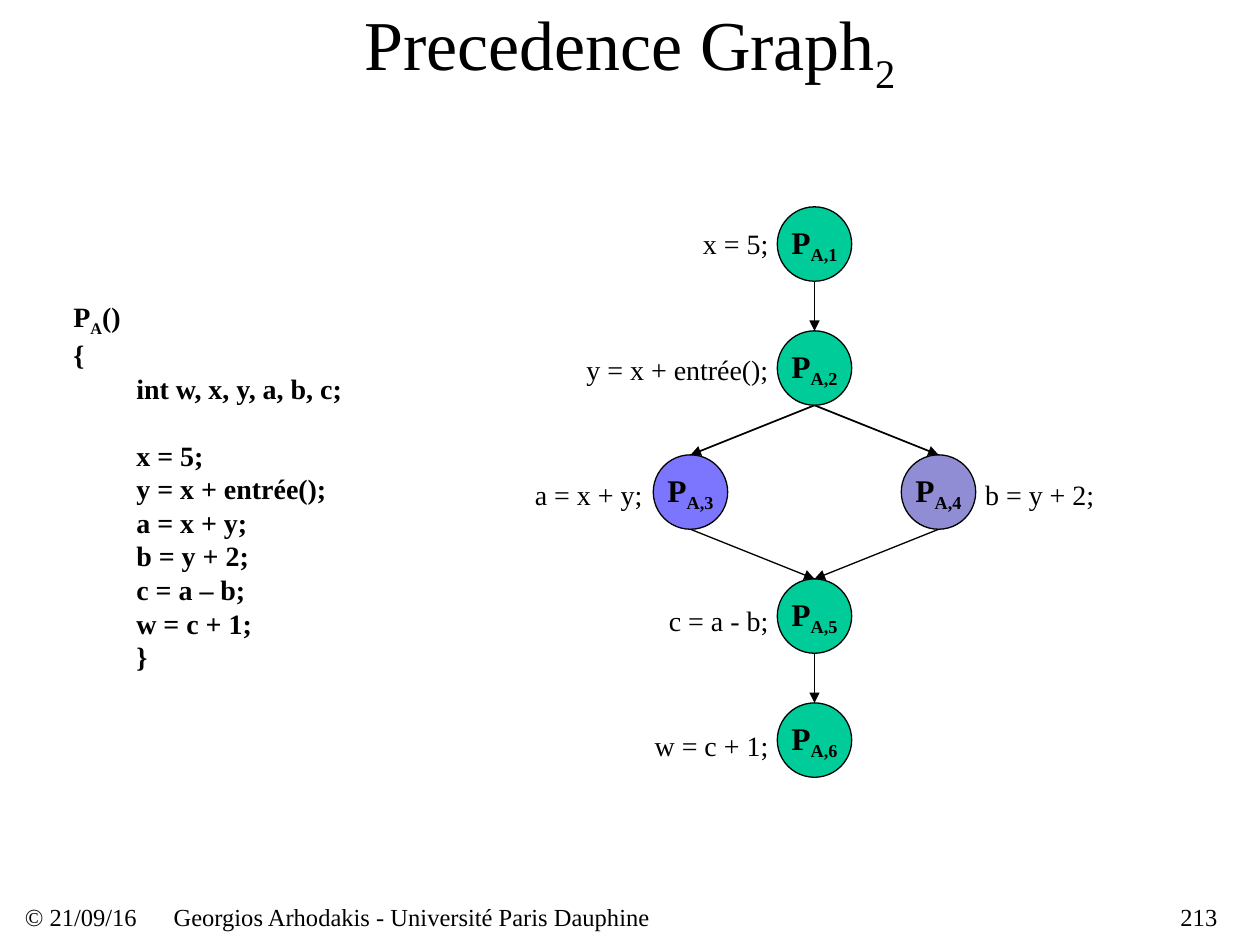
from pptx import Presentation
from pptx import util as u
from pptx.dml.color import RGBColor
from pptx.enum import shapes, text
from pptx.oxml.ns import qn
from lxml import etree

BLACK = "000000"
GREEN = "00CC99"
SIZE, STEP = 1.5, 2.5      # node diameter and grid pitch, cm
MID, TOP = 15.67, 4.17     # left and top of the first node, cm

# name: (column, row, fill)
NODES = {
    1: (0, 0, GREEN),
    2: (0, 1, GREEN),
    3: (-1, 2, "7C76FE"),
    4: (1, 2, "908DD5"),
    5: (0, 3, GREEN),
    6: (0, 4, GREEN),
}
# from, to, line width in points
EDGES = [(1, 2, 0.75), (2, 3, 1), (2, 4, 1),
         (3, 5, 0.75), (4, 5, 0.75), (5, 6, 0.75)]
# text, left, row, alignment
LABELS = [
    ("x = 5;", 11.49, 0, "r"),
    ("y = x + entrée();", 11.49, 1, "r"),
    ("a = x + y;", 8.95, 2, "r"),
    ("b = y + 2;", 19.86, 2, "l"),
    ("c = a - b;", 11.49, 3, "r"),
    ("w = c + 1;", 11.49, 4, "r"),
]
# text, indent in cm, space before in points
CODE = [
    ("PA()".replace("A", "~A~"), 0, 0),
    ("{", 0, 0),
    ("int w, x, y, a, b, c;", 1.27, 0),
    ("x = 5;", 1.27, 19),
    ("y = x + entrée();", 1.27, 0),
    ("a = x + y;", 1.27, 0),
    ("b = y + 2;", 1.27, 0),
    ("c = a – b;", 1.27, 0),
    ("w = c + 1;", 1.27, 0),
    ("}", 1.27, 0),
]
ALIGN = {"l": text.PP_ALIGN.LEFT, "c": text.PP_ALIGN.CENTER,
         "r": text.PP_ALIGN.RIGHT}


def color(code):
    return RGBColor.from_string(code)


def write(para, words, size=16, bold=False, align="l", indent=0, before=0):
    """Fill a paragraph; parts between tildes become subscripts."""
    props = para._p.get_or_add_pPr()
    if indent:
        props.set("marL", str(u.Cm(indent)))
        props.set("indent", "0")
    para.alignment = ALIGN[align]
    if before:
        para.space_before = u.Pt(before)
    for i, part in enumerate(words.split("~")):
        if not part:
            continue
        run = para.add_run()
        run.text = part
        font = run.font
        font.name, font.size, font.bold = "Times New Roman", u.Pt(size), bold
        font.color.rgb = color(BLACK)
        if i % 2:
            run._r.get_or_add_rPr().set("baseline", "-25000")


def frame(shape, wrap=True):
    body = shape.text_frame
    body.word_wrap = wrap
    body.vertical_anchor = text.MSO_ANCHOR.MIDDLE
    body.margin_left = body.margin_right = 0
    body.margin_top = body.margin_bottom = 0
    return body


def box(slide, x, y, w, h):
    return frame(slide.shapes.add_textbox(u.Cm(x), u.Cm(y), u.Cm(w), u.Cm(h)))


def label(slide, words, x, y, w, h, **style):
    write(box(slide, x, y, w, h).paragraphs[0], words, **style)


def node(slide, num, col, row, fill):
    disc = slide.shapes.add_shape(
        shapes.MSO_SHAPE.FLOWCHART_CONNECTOR, u.Cm(MID + col * STEP),
        u.Cm(TOP + row * STEP), u.Cm(SIZE), u.Cm(SIZE))
    disc.shadow.inherit = False
    disc.fill.solid()
    disc.fill.fore_color.rgb = color(fill)
    disc.line.color.rgb = color(BLACK)
    disc.line.width = u.Pt(0.75)
    write(frame(disc, wrap=False).paragraphs[0], f"P~A,{num}~",
          size=18, bold=True, align="c")
    return disc


def arrow(slide, start, end, width):
    line = slide.shapes.add_connector(shapes.MSO_CONNECTOR.STRAIGHT, 0, 0, 0, 0)
    line.begin_connect(start, 2)
    line.end_connect(end, 0)
    # A circle has eight sites, and its bottom one is number 4
    for site in line._element.iter(qn("a:stCxn")):
        site.set("idx", "4")
    line.line.color.rgb = color(BLACK)
    line.line.width = u.Pt(width)
    etree.SubElement(line.line._get_or_add_ln(), qn("a:tailEnd"),
                     type="triangle")
    etree.SubElement(line._element.spPr, qn("a:effectLst"))


def main():
    deck = Presentation()
    deck.slide_width, deck.slide_height = u.Cm(25.4), u.Cm(19.05)
    slide = deck.slides.add_slide(deck.slide_layouts[6])

    # Title
    label(slide, "Precedence Graph~2~", 1.9, 0, 21.6, 1.96,
          size=40, align="c")

    # Graph
    discs = {num: node(slide, num, *spot) for num, spot in NODES.items()}
    for start, end, width in EDGES:
        arrow(slide, discs[start], discs[end], width)
    for words, x, row, align in LABELS:
        label(slide, words, x, 4.57 + 2.53 * row, 4, 0.68, align=align)

    # Program listing
    body = box(slide, 1.48, 6.07, 5.72, 7.47)
    for i, (words, indent, before) in enumerate(CODE):
        para = body.add_paragraph() if i else body.paragraphs[0]
        write(para, words, bold=True, indent=indent, before=before)

    # Footer
    for words, x, w, align in [
            ("© 21/09/16", 0.5, 2.75, "l"),
            ("Georgios Arhodakis - Université Paris Dauphine", 3.5, 17.35, "l"),
            ("213", 22, 2.54, "r")]:
        label(slide, words, x, 18.19, w, 0.6, size=14, align=align)

    deck.save("out.pptx")


if __name__ == "__main__":
    main()
